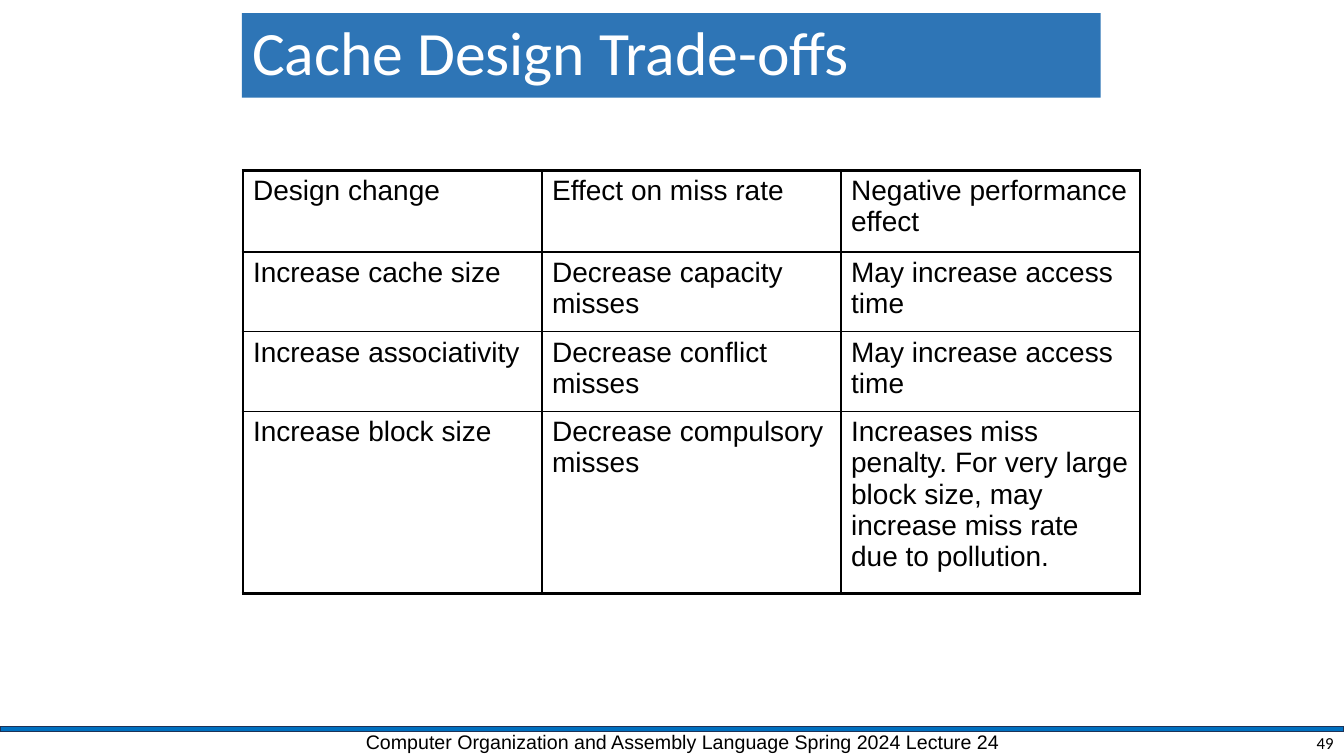
import pptx
import pptx.dml.color
import pptx.enum.shapes
import pptx.enum.text
import pptx.oxml
import pptx.oxml.ns
import pptx.util

COLORS = {"black": "000000", "white": "FFFFFF", "title": "2E75B6",
          "bar": "0070C0", "bar_edge": "1E3256"}
COLUMNS, ROWS = 133.33, 75
ALIGN = pptx.enum.text.PP_ALIGN
ANCHOR = pptx.enum.text.MSO_ANCHOR

TRADE_OFFS = [
    ["Design change", "Effect on miss rate", "Negative performance effect"],
    ["Increase cache size", "Decrease capacity misses", "May increase access time"],
    ["Increase associativity", "Decrease conflict misses", "May increase access time"],
    ["Increase block size", "Decrease compulsory misses",
     "Increases miss penalty. For very large block size, may increase miss rate "
     "due to pollution."],
]


def rgb(name):
    return pptx.dml.color.RGBColor.from_string(COLORS[name])


class SlideBuilder:
    """Places styled elements on a slide, measured in grid columns and rows."""

    def __init__(self, presentation):
        self.column = presentation.slide_width / COLUMNS
        self.row = presentation.slide_height / ROWS
        self.slide = presentation.slides.add_slide(presentation.slide_layouts[5])

    def box(self, left, top, width, height):
        return [round(left * self.column), round(top * self.row),
                round(width * self.column), round(height * self.row)]

    def set_text(self, frame, text, size, font="Arial", color="black", **paragraph_format):
        frame.text = text
        paragraph = frame.paragraphs[0]
        for name, value in {"alignment": ALIGN.LEFT, **paragraph_format}.items():
            setattr(paragraph, name, value)
        for name, value in {"name": font, "size": pptx.util.Pt(size)}.items():
            setattr(paragraph.font, name, value)
        paragraph.font.color.rgb = rgb(color)

    def title(self, text, *area):
        shape = self.slide.shapes.title
        for name, value in zip(("left", "top", "width", "height"), self.box(*area)):
            setattr(shape, name, value)
        shape.fill.solid()
        shape.fill.fore_color.rgb = rgb("title")
        frame = shape.text_frame
        self.set_text(frame, text, 44, "Calibri", "white", line_spacing=0.9)
        frame.auto_size = pptx.enum.text.MSO_AUTO_SIZE.NONE
        frame.vertical_anchor = ANCHOR.MIDDLE

    def bar(self, *area):
        shape = self.slide.shapes.add_shape(
            pptx.enum.shapes.MSO_SHAPE.RECTANGLE, *self.box(*area))
        shape.shadow.inherit = False
        shape.fill.solid()
        shape.fill.fore_color.rgb = rgb("bar")
        shape.line.color.rgb = rgb("bar_edge")
        shape.line.width = pptx.util.Pt(1)

    def text(self, text, size, area, font="Arial", anchor=ANCHOR.TOP, **paragraph_format):
        frame = self.slide.shapes.add_textbox(*self.box(*area)).text_frame
        frame.word_wrap = True
        frame.vertical_anchor = anchor
        self.set_text(frame, text, size, font, **paragraph_format)

    def borders(self, cell, widths):
        """Draw the left, right, top and bottom borders, with widths in points."""
        properties = cell._tc.get_or_add_tcPr()
        for index, (side, width) in enumerate(zip("LRTB", widths)):
            line = pptx.oxml.parse_xml(
                f'<a:ln{side} {pptx.oxml.ns.nsdecls("a")} w="{pptx.util.Pt(width)}">'
                f'<a:solidFill><a:srgbClr val="{COLORS["black"]}"/></a:solidFill>'
                f'</a:ln{side}>')
            properties.insert(index, line)

    def table(self, rows, left, top, column_width, row_heights):
        last_row, last_column = len(rows) - 1, len(rows[0]) - 1
        area = self.box(left, top, column_width * len(rows[0]), sum(row_heights))
        table = self.slide.shapes.add_table(len(rows), len(rows[0]), *area).table
        table.first_row = table.horz_banding = False
        for row, height in zip(table.rows, row_heights):
            row.height = round(height * self.row)
        outer, header, inner = 2.25, 1.5, 1
        horizontal = [outer, header] + [inner] * (last_row - 1) + [outer]
        vertical = [outer] + [inner] * last_column + [outer]
        for row_index, texts in enumerate(rows):
            for column_index, text in enumerate(texts):
                cell = table.cell(row_index, column_index)
                cell.fill.background()
                self.set_text(cell.text_frame, text, 20)
                self.borders(cell, vertical[column_index:column_index + 2]
                             + horizontal[row_index:row_index + 2])


def main():
    presentation = pptx.Presentation()
    presentation.slide_width = pptx.util.Inches(13.33)
    presentation.slide_height = pptx.util.Inches(7.5)
    builder = SlideBuilder(presentation)
    builder.bar(0, 72.1, COLUMNS, 0.5)
    builder.text("Computer Organization and Assembly Language Spring 2024 Lecture 24",
                 14, (35.3, 71.9, 65.6, 3.1))
    builder.title("Cache Design Trade-offs", 24, 1.3, 85.2, 8.4)
    builder.table(TRADE_OFFS, 24.1, 16.9, 29.67, [8.1, 7.9, 7.9, 18.1])
    builder.text("49", 12, (103.3, 72.4, 30, 2.5), font="Calibri",
                 anchor=ANCHOR.MIDDLE, alignment=ALIGN.RIGHT)
    presentation.save("out.pptx")


if __name__ == "__main__":
    main()
